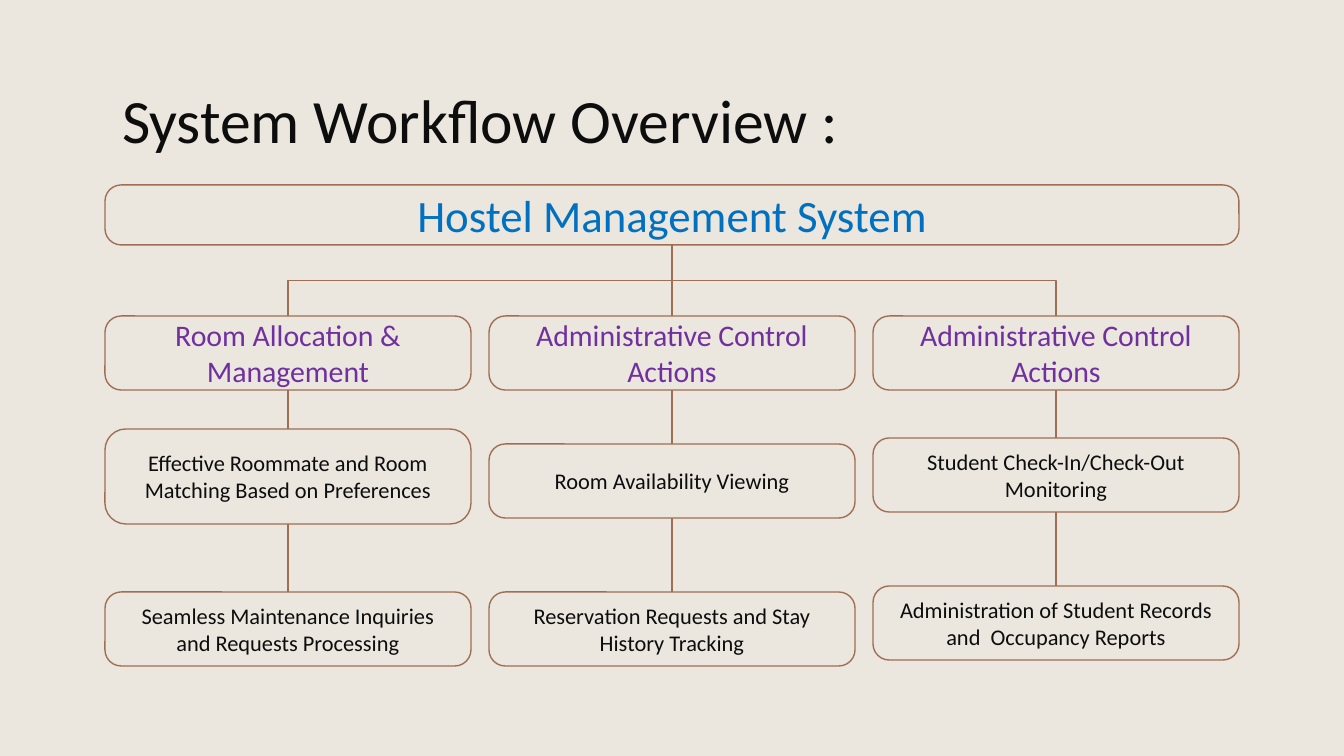
"""Build the workflow overview slide of a hostel management system."""

import dataclasses
import typing

import lxml.etree
import pptx
import pptx.dml.color
import pptx.enum.shapes
import pptx.enum.text
import pptx.oxml.ns
import pptx.slide
import pptx.text.text
import pptx.util

EMU_PER_PX = 914400 / 134.4
FONT = "Calibri"
COLORS = {
    "background": "EBE6DE",
    "outline": "A06E53",
    "text": "0D0D0D",
    "system": "0070C0",
    "area": "7030A0",
}
MARGIN = 105
COLUMN_WIDTH = 366
COLUMN_STEP = 384
STEP_HEIGHT = 74
AREA_TOP = 316
INSET = 13


@dataclasses.dataclass(frozen=True)
class Box:
    text: str
    left: int
    top: int
    width: int = COLUMN_WIDTH
    height: int = STEP_HEIGHT
    size: int = 12
    color: str = "text"
    rounding: float = 0.22

    @property
    def center(self) -> int:
        return self.left + self.width // 2

    @property
    def bottom(self) -> int:
        return self.top + self.height


class Step(typing.NamedTuple):
    text: str
    top: int
    height: int = STEP_HEIGHT


class Branch(typing.NamedTuple):
    area: str
    steps: tuple[Step, ...]


BRANCHES = (
    Branch("Room Allocation & Management", (
        Step("Effective Roommate and Room Matching Based on Preferences", 429, 95),
        Step("Seamless Maintenance Inquiries and Requests Processing", 592),
    )),
    Branch("Administrative Control Actions", (
        Step("Room Availability Viewing", 444),
        Step("Reservation Requests and Stay History Tracking", 592),
    )),
    Branch("Administrative Control Actions", (
        Step("Student Check-In/Check-Out Monitoring", 438),
        Step("Administration of Student Records and  Occupancy Reports", 586),
    )),
)


def px(length: float) -> pptx.util.Emu:
    """Turn pixels into EMU."""
    return pptx.util.Emu(round(length * EMU_PER_PX))


def rgb(name: str) -> pptx.dml.color.RGBColor:
    """Look up a named colour."""
    return pptx.dml.color.RGBColor.from_string(COLORS[name])


def write(frame: pptx.text.text.TextFrame, text: str, size: int, color: str,
          align: pptx.enum.text.PP_ALIGN, anchor: pptx.enum.text.MSO_ANCHOR) -> None:
    """Fill a text frame with one formatted paragraph."""
    frame.text = text
    frame.word_wrap = True
    frame.auto_size = pptx.enum.text.MSO_AUTO_SIZE.NONE
    frame.vertical_anchor = anchor
    frame.margin_left = frame.margin_right = px(INSET)
    frame.margin_top = frame.margin_bottom = px(INSET)
    paragraph = frame.paragraphs[0]
    paragraph.alignment = align
    font = paragraph.runs[0].font
    font.name = FONT
    font.size = pptx.util.Pt(size)
    font.color.rgb = rgb(color)


def draw_box(slide: pptx.slide.Slide, box: Box) -> None:
    """Draw an outlined rounded box with centred text."""
    outline = slide.shapes.add_shape(
        pptx.enum.shapes.MSO_SHAPE.ROUNDED_RECTANGLE,
        px(box.left), px(box.top), px(box.width), px(box.height))
    outline.adjustments[0] = box.rounding
    outline.shadow.inherit = False
    outline.fill.background()
    outline.line.color.rgb = rgb("outline")
    outline.line.width = pptx.util.Pt(0.75)
    write(outline.text_frame, box.text, box.size, box.color,
          pptx.enum.text.PP_ALIGN.CENTER, pptx.enum.text.MSO_ANCHOR.MIDDLE)


def draw_link(slide: pptx.slide.Slide, upper: Box, lower: Box) -> None:
    """Join two boxes with an elbow turned to leave downwards."""
    rightward = lower.center > upper.center
    half_drop = (lower.top - upper.bottom) / 2
    half_span = abs(lower.center - upper.center) / 2
    middle_x = (upper.center + lower.center) / 2
    middle_y = (upper.bottom + lower.top) / 2
    reach = -half_drop if rightward else half_drop
    link = slide.shapes.add_connector(
        pptx.enum.shapes.MSO_CONNECTOR.ELBOW,
        px(middle_x - reach), px(middle_y - half_span),
        px(middle_x + reach), px(middle_y + half_span))
    link.line.color.rgb = rgb("outline")
    link.line.width = pptx.util.Pt(0.75)
    properties = link.element.spPr
    degrees = 270 if rightward else 90
    properties.find(pptx.oxml.ns.qn("a:xfrm")).set("rot", str(degrees * 60000))
    lxml.etree.SubElement(properties, pptx.oxml.ns.qn("a:effectLst"))


def main() -> None:
    """Build and save the slide."""
    deck = pptx.Presentation()
    deck.slide_width, deck.slide_height = px(1344), px(756)
    slide = deck.slides.add_slide(deck.slide_layouts.get_by_name("Title Only"))
    slide.background.fill.solid()
    slide.background.fill.fore_color.rgb = rgb("background")

    heading = slide.shapes.title
    heading.left, heading.top = px(109), px(69)
    heading.width, heading.height = px(1134), px(91)
    write(heading.text_frame, "System Workflow Overview :", 33, "text",
          pptx.enum.text.PP_ALIGN.LEFT, pptx.enum.text.MSO_ANCHOR.TOP)

    system = Box("Hostel Management System", MARGIN, 185, 2 * COLUMN_STEP + COLUMN_WIDTH,
                 60, 24, "system", 0.27)
    boxes = [system]
    links = []
    for column, branch in enumerate(BRANCHES):
        left = MARGIN + column * COLUMN_STEP
        area = Box(branch.area, left, AREA_TOP, size=16, color="area")
        steps = [Box(step.text, left, step.top, height=step.height) for step in branch.steps]
        chain = [system, area, *steps]
        boxes += chain[1:]
        links += zip(chain, chain[1:])

    for box in boxes:
        draw_box(slide, box)
    for upper, lower in links:
        draw_link(slide, upper, lower)
    deck.save("out.pptx")


if __name__ == "__main__":
    main()
